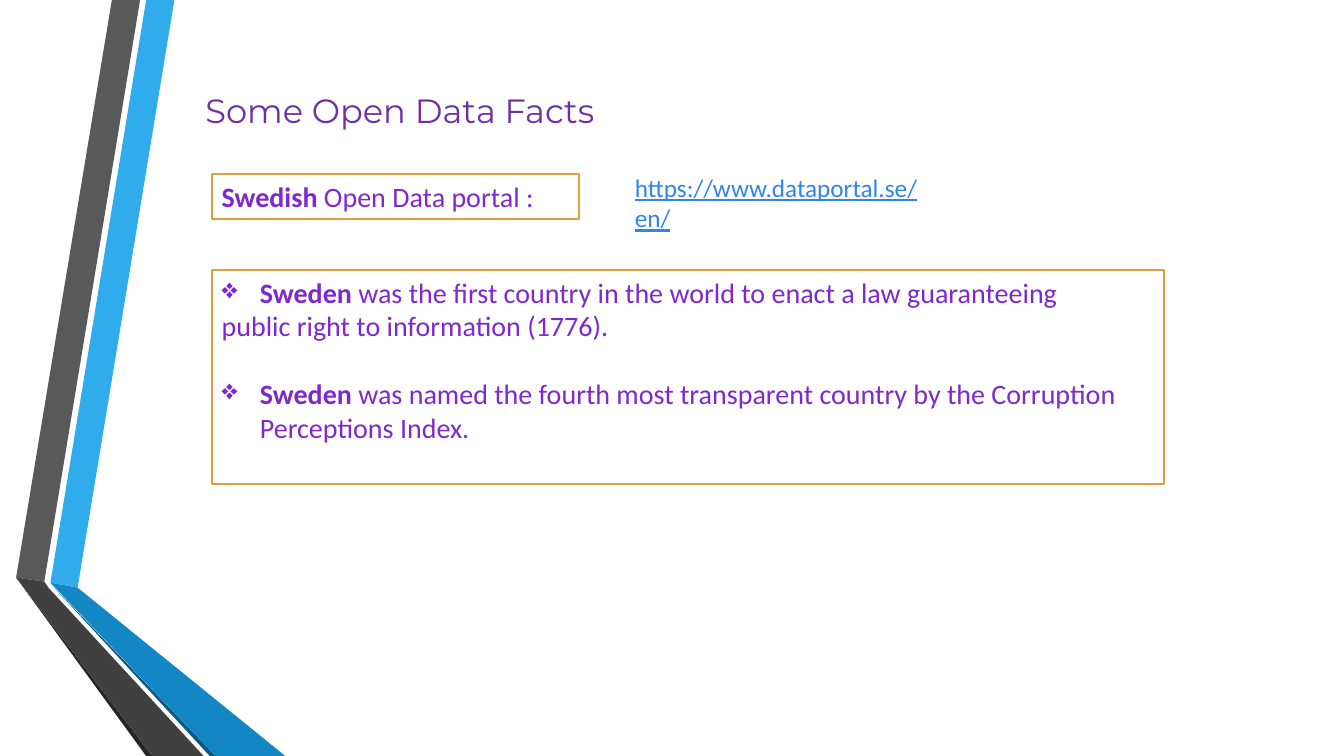
from lxml import etree
from pptx import Presentation
from pptx.dml.color import RGBColor
from pptx.enum.shapes import MSO_SHAPE
from pptx.enum.text import MSO_ANCHOR, PP_ALIGN
from pptx.oxml.ns import qn
from pptx.util import Inches, Pt

RECT = MSO_SHAPE.RECTANGLE
TOP, LEFT = MSO_ANCHOR.TOP, PP_ALIGN.LEFT
COLS, ROWS = 80, 45
COLORS = {
    "title": "7030A0", "body": "7E28CD", "link": "3085ED", "border": "E29D3E",
    "paper": "FFFFFF", "blue": "30ACEC", "blue_fold": "1287C3", "blue_edge": "0C5A82",
    "grey": "595959", "grey_fold": "404040", "grey_edge": "262626",
}
FORMATS = {
    "title": {"name": "Montserrat", "size": Pt(24)},
    "body": {"name": "Calibri", "size": Pt(20)},
    "link": {"name": "Calibri", "size": Pt(18), "underline": True},
}
RIBBONS = [
    ("blue", [(3, 34.68), (4.62, 34.98), (10.38, 0), (8.7, 0)]),
    ("grey", [(8.34, 0), (6.66, 0), (0.96, 34.38), (2.64, 34.62)]),
    ("grey_edge", [(0.96, 34.38), (8.7, 45), (9.06, 45)]),
    ("blue_edge", [(3, 34.74), (12.48, 45), (12.84, 45)]),
    ("blue_fold", [(3, 34.68), (12.84, 45), (16.98, 45), (4.62, 34.98)]),
    ("grey_fold", [(12.12, 45), (2.88, 34.98), (2.64, 34.62), (0.96, 34.38), (9.06, 45)]),
]
FACTS = [
    {"bullet": True, "runs": [
        ("Sweden", True),
        (" was the first country in the world to enact a law guaranteeing", False)]},
    {"after": 24.4, "runs": [("public right to information (1776).", False)]},
    {"bullet": True, "runs": [
        ("Sweden", True),
        (" was named the fourth most transparent country by the Corruption "
         "Perceptions Index.", False)]},
]


class Deck:
    """Draws styled elements on one slide, measured in grid columns and rows."""

    def __init__(self):
        self.prs = Presentation()
        self.prs.slide_width, self.prs.slide_height = Inches(13.33), Inches(7.5)
        self.s = self.prs.slides.add_slide(self.prs.slide_layouts[6])

    def color(self, name):
        return RGBColor.from_string(COLORS[name])

    def point(self, col, row):
        return (round(self.prs.slide_width * col / COLS),
                round(self.prs.slide_height * row / ROWS))

    def paint(self, sp, fill, border=None):
        sp.shadow.inherit = False
        sp.fill.solid()
        sp.fill.fore_color.rgb = self.color(fill)
        if border:
            sp.line.color.rgb = self.color(border)
            sp.line.width = Pt(1.5)
        else:
            sp.line.fill.background()

    def ribbon(self, fill, corners):
        first, *rest = [self.point(*corner) for corner in corners]
        fb = self.s.shapes.build_freeform(*first)
        fb.add_line_segments(rest, close=True)
        self.paint(fb.convert_to_shape(), fill)

    def bullet(self, p):
        pPr = p._p.get_or_add_pPr()
        pPr.set("marL", str(Inches(0.38)))
        pPr.set("indent", str(-Inches(0.38)))
        etree.SubElement(pPr, qn("a:buChar")).set("char", "❖")

    def fill_text(self, sp, style, paragraphs):
        tf = sp.text_frame
        tf.word_wrap, tf.vertical_anchor = True, TOP
        for i, item in enumerate(paragraphs):
            p = tf.add_paragraph() if i else tf.paragraphs[0]
            p.alignment = LEFT
            p.space_after = Pt(item.get("after", 0))
            if item.get("bullet"):
                self.bullet(p)
            for text, bold in item["runs"]:
                r = p.add_run()
                r.text = text
                for key, value in {**FORMATS[style], "bold": bold}.items():
                    setattr(r.font, key, value)
                r.font.color.rgb = self.color(style)

    def text(self, col, row, cols, rows, style, text):
        sp = self.s.shapes.add_textbox(*self.point(col, row), *self.point(cols, rows))
        self.fill_text(sp, style, [{"runs": [(text, False)]}])

    def box(self, col, row, cols, rows, paragraphs):
        sp = self.s.shapes.add_shape(RECT, *self.point(col, row), *self.point(cols, rows))
        self.paint(sp, "paper", "border")
        self.fill_text(sp, "body", paragraphs)


def main():
    deck = Deck()
    for fill, corners in RIBBONS:
        deck.ribbon(fill, corners)
    deck.text(11.64, 5.04, 45.54, 3, "title", "Some Open Data Facts")
    deck.box(12.6, 10.38, 21.84, 2.64,
             [{"runs": [("Swedish ", True), ("Open Data portal :", False)]}])
    deck.text(37.2, 9.96, 19.98, 4.26, "link", "https://www.dataportal.se/en/")
    deck.box(12.6, 16.08, 56.7, 12.72, FACTS)
    deck.prs.save("out.pptx")


if __name__ == "__main__":
    main()
